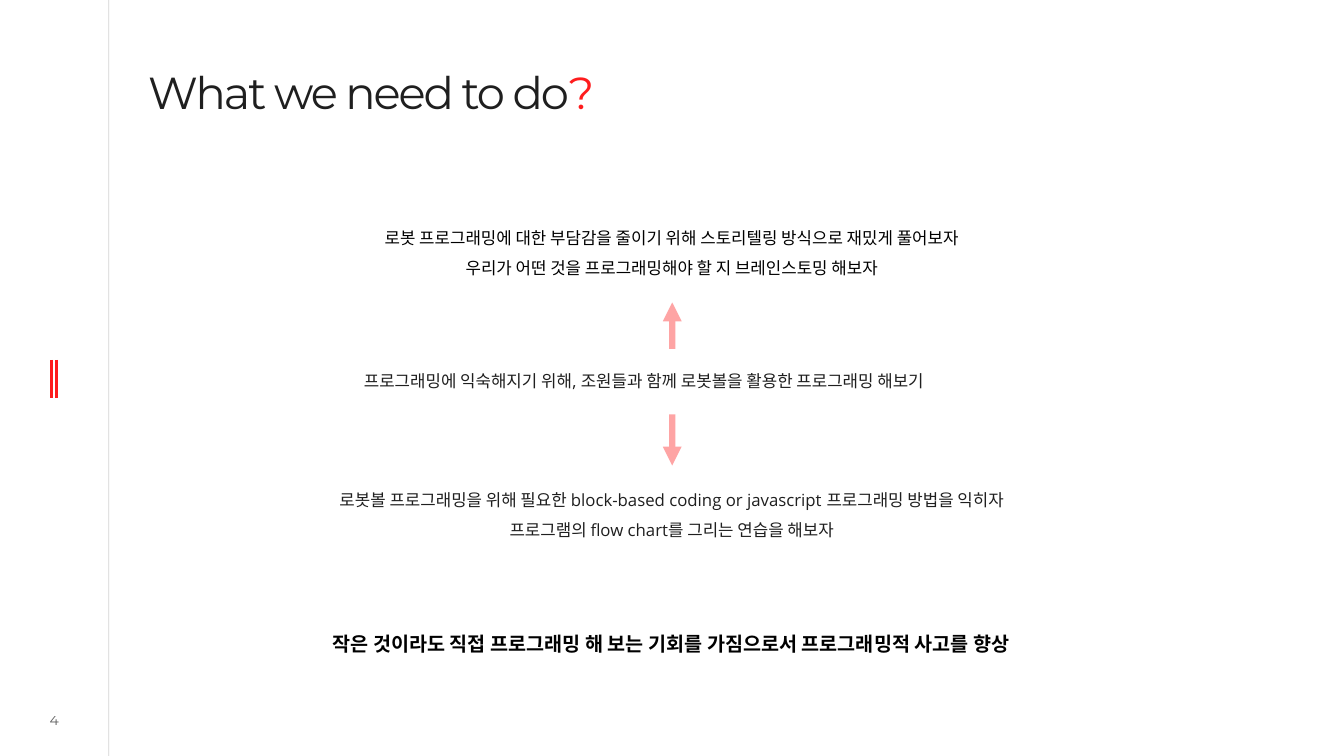
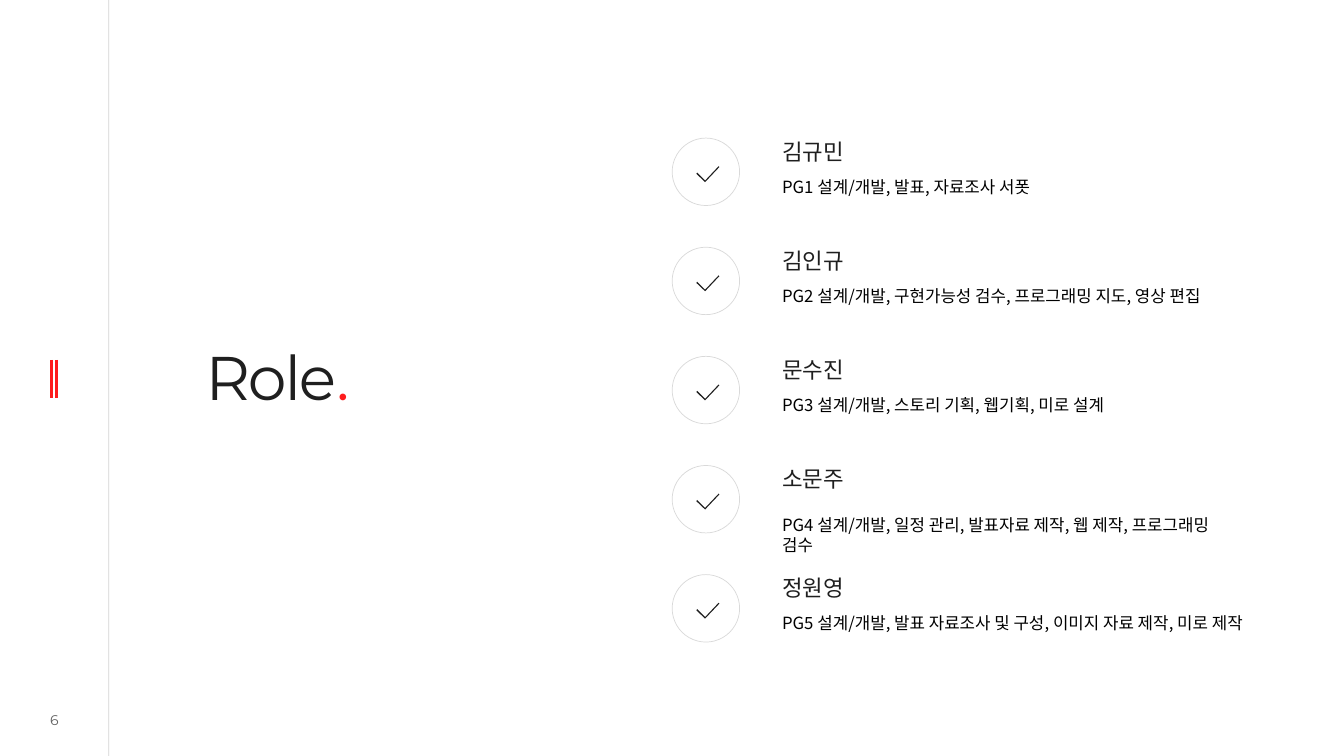
from lxml import etree
from pptx import Presentation
from pptx import util as u
from pptx.dml.color import RGBColor
from pptx.enum import shapes, text
from pptx.oxml.ns import qn

INK = RGBColor(0x1F, 0x1F, 0x1F)
RED = RGBColor(0xFE, 0x1C, 0x1D)
BLACK = RGBColor(0, 0, 0)
RING = RGBColor(0xD9, 0xD9, 0xD9)
DISPLAY, KOREAN, LATIN = "Montserrat", "Noto Sans CJK KR", "Open Sans"
LEFT, CENTER = text.PP_ALIGN.LEFT, text.PP_ALIGN.CENTER

WIDTH, HEIGHT = 33.87, 19.05
RAIL_X = 2.74
BARS_X = (1.3, 1.42)
BAR_TOP, BAR_BOTTOM = 9.07, 10.03
NUMBER_AREA = (0.66, 17.83, 1.42, 0.64)

GOALS = [
    ("로봇 프로그래밍에 대한 부담감을 줄이기 위해 스토리텔링 방식으로 재밌게 풀어보자\n"
     "우리가 어떤 것을 프로그래밍해야 할 지 브레인스토밍 해보자",
     (8.53, 5.36, 16.81, 1.7),
     dict(font=KOREAN, align=CENTER, spacing=1.5)),
    ("프로그래밍에 익숙해지기 위해, 조원들과 함께 로봇볼을 활용한 프로그래밍 해보기",
     (9.17, 9.22, 15.54, 0.76),
     dict(font=LATIN, color=INK)),
    ("로봇볼 프로그래밍을 위해 필요한 block-based coding or javascript 프로그래밍 방법을 익히자\n"
     "프로그램의 flow chart를 그리는 연습을 해보자",
     (7.72, 11.96, 18.42, 1.65),
     dict(font=LATIN, color=INK, align=CENTER, spacing=1.5)),
    ("작은 것이라도 직접 프로그래밍 해 보는 기회를 가짐으로서 프로그래밍적 사고를 향상",
     (4.6, 15.8, 24.64, 0.86),
     dict(font=KOREAN, size=14, align=CENTER, bold=True)),
]
ARROW_X = 16.94
ARROWS = [(10.44, 11.73), (8.79, 7.62)]

ROLES = [
    ("김규민", "PG1 설계/개발, 발표, 자료조사 서폿", 9.96, 0.84),
    ("김인규", "PG2 설계/개발, 구현가능성 검수, 프로그래밍 지도, 영상 편집", 11.71, 0.84),
    ("문수진", "PG3 설계/개발, 스토리 기획, 웹기획, 미로 설계", 9.96, 0.84),
    ("소문주", "PG4 설계/개발, 일정 관리, 발표자료 제작, 웹 제작, 프로그래밍 검수", 11.58, 1.1),
    ("정원영", "PG5 설계/개발, 발표 자료조사 및 구성, 이미지 자료 제작, 미로 제작", 12.42, 0.84),
]
ROLE_TOP, ROLE_PITCH = 3.48, 2.75
RING_X, RING_SIZE = 16.94, 1.7
ROLE_X, NAME_WIDTH, ROLE_LINE = 19.71, 9.96, 0.76
TICK = [(1.17, 0.71), (0.83, 1.07), (0.63, 0.87), (0.61, 0.9), (0.83, 1.11), (1.19, 0.73)]


def cm(*lengths):
    return [u.Cm(length) for length in lengths]


def fade(shape, percent):
    for color in shape.element.iter(qn("a:srgbClr")):
        etree.SubElement(color, qn("a:alpha"), val=str(percent * 1000))


def set_margins(frame, top, bottom):
    frame.margin_left = frame.margin_right = 0
    frame.margin_top, frame.margin_bottom = cm(top, bottom)


def add_text(parent, words, area, font, size=12, color=BLACK, align=LEFT,
             spacing=None, bold=False, margin=0.13):
    box = parent.add_textbox(*cm(*area))
    frame = box.text_frame
    frame.word_wrap = True
    set_margins(frame, margin, margin)
    para = frame.paragraphs[0]
    para.text = words
    para.alignment = align
    para.line_spacing = spacing
    para.font.name = font
    para.font.size = u.Pt(size)
    para.font.bold = bold
    para.font.color.rgb = color
    return box


def add_line(page, x, start, end, color, width, opacity=100, arrow=False):
    line = page.shapes.add_connector(shapes.MSO_CONNECTOR.STRAIGHT, *cm(x, start, x, end))
    line.line.color.rgb = color
    line.line.width = u.Pt(width)
    if opacity < 100:
        fade(line, opacity)
    properties = line.element.spPr
    if arrow:
        etree.SubElement(properties.find(qn("a:ln")), qn("a:tailEnd"), type="triangle")
    etree.SubElement(properties, qn("a:effectLst"))
    return line


def decorate_layout(layout, page):
    lines = [add_line(page, RAIL_X, 0, HEIGHT, INK, 0.5, 20)]
    lines += [add_line(page, x, BAR_TOP, BAR_BOTTOM, RED, 2) for x in BARS_X]
    for line in lines:
        layout.shapes.element.append(line.element)


def add_page(deck, number, words, mark, area, size):
    page = deck.slides.add_slide(deck.slide_layouts[5])
    title = page.shapes.title
    title.left, title.top, title.width, title.height = cm(*area)
    frame = title.text_frame
    frame.word_wrap = True
    frame.auto_size = text.MSO_AUTO_SIZE.NONE
    frame.vertical_anchor = text.MSO_ANCHOR.TOP
    set_margins(frame, 0.53, 0)
    para = frame.paragraphs[0]
    para.alignment = LEFT
    para.line_spacing = 0.8
    para.font.name = DISPLAY
    para.font.size = u.Pt(size)
    for part, color in ((words, INK), (mark, RED)):
        span = para.add_run()
        span.text = part
        span.font.color.rgb = color
    for properties in title.element.iter(qn("a:rPr")):
        properties.set("spc", "-150")
    label = add_text(page.shapes, str(number), NUMBER_AREA, DISPLAY, 10, INK, CENTER, margin=0)
    label.text_frame.vertical_anchor = text.MSO_ANCHOR.MIDDLE
    fade(label, 70)
    return page


def add_role(page, top, name, task, task_width, task_drop):
    group = page.shapes.add_group_shape().shapes
    add_text(group, name, (ROLE_X, top + 0.05, NAME_WIDTH, ROLE_LINE), KOREAN, 16, INK, spacing=0.7)
    add_text(group, task, (ROLE_X, top + task_drop, task_width, ROLE_LINE), KOREAN)
    ring = group.add_shape(shapes.MSO_SHAPE.OVAL, *cm(RING_X, top, RING_SIZE, RING_SIZE))
    ring.fill.background()
    ring.line.color.rgb = RING
    ring.line.width = u.Pt(0.5)
    points = [cm(RING_X + x, top + y) for x, y in TICK]
    builder = group.build_freeform(*points[0])
    builder.add_line_segments(points[1:], close=True)
    tick = builder.convert_to_shape()
    tick.fill.solid()
    tick.fill.fore_color.rgb = INK
    tick.line.fill.background()
    for shape in (ring, tick):
        shape.shadow.inherit = False


def main():
    deck = Presentation()
    deck.slide_width, deck.slide_height = cm(WIDTH, HEIGHT)

    goals = add_page(deck, 4, "What we need to do", "?", (3.73, 1.35, 18.42, 1.85), 32)
    decorate_layout(goals.slide_layout, goals)
    for words, area, style in GOALS:
        add_text(goals.shapes, words, area, **style)
    for start, end in ARROWS:
        add_line(goals, ARROW_X, start, end, RED, 4.5, 40, arrow=True)

    roles = add_page(deck, 6, "Role", ".", (5.18, 8.38, 8.71, 2.24), 44)
    for row, role in enumerate(ROLES):
        add_role(roles, ROLE_TOP + row * ROLE_PITCH, *role)

    deck.save("out.pptx")


if __name__ == "__main__":
    main()
